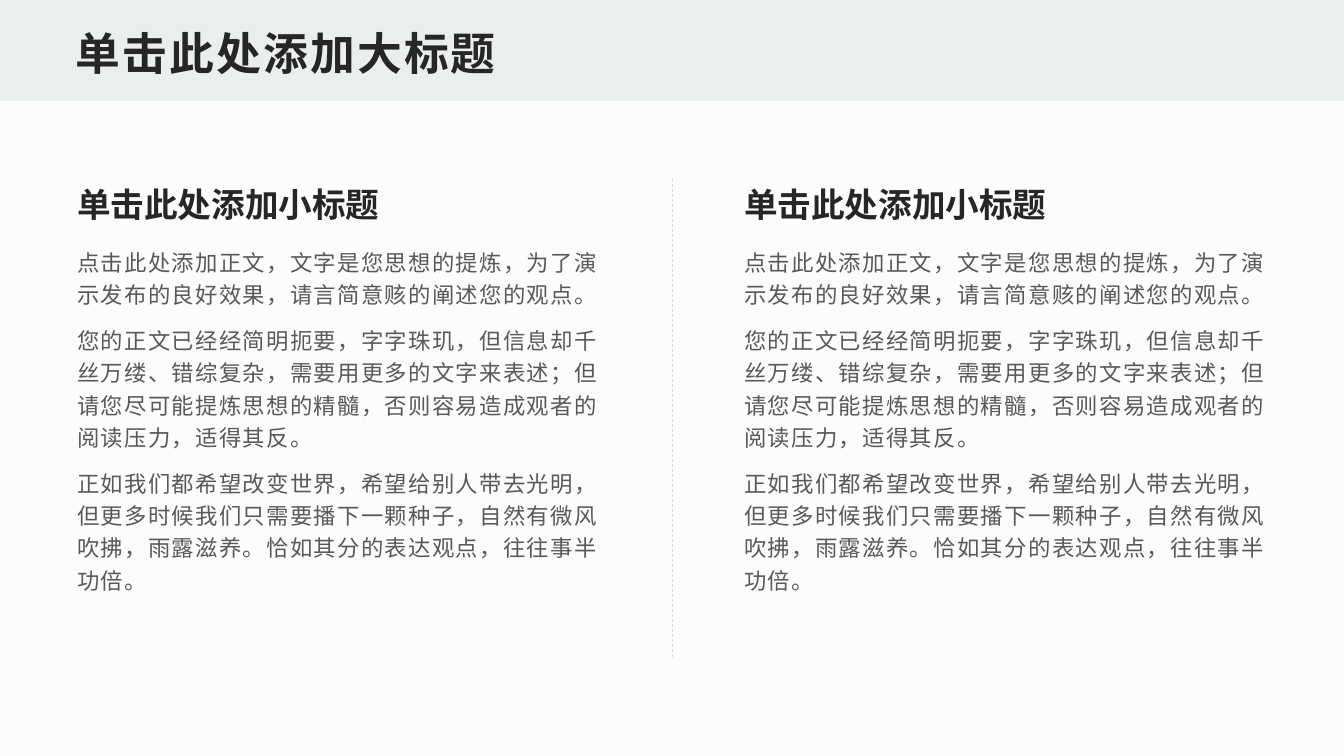
from pptx import Presentation
from pptx.dml.color import RGBColor
from pptx.enum.dml import MSO_LINE
from pptx.enum.shapes import MSO_CONNECTOR, MSO_SHAPE
from pptx.enum.text import MSO_ANCHOR, MSO_AUTO_SIZE, PP_ALIGN
from pptx.oxml.ns import qn
from pptx.util import Pt
from lxml.etree import SubElement

BACKGROUND = RGBColor(0xFB, 0xFC, 0xFC)
BAND = RGBColor(0xEA, 0xEE, 0xEF)
HEADING = RGBColor(0x26, 0x26, 0x26)
BODY = RGBColor(0x59, 0x59, 0x59)
DIVIDER = RGBColor(0xD9, 0xD9, 0xD9)

WIDTH, HEIGHT = 960, 540
MARGIN = 48
COLUMN_TOP, COLUMN_WIDTH, COLUMN_HEIGHT = 128, 387.5, 341.5

TITLE = "单击此处添加大标题"
SUBTITLE = "单击此处添加小标题"
PARAGRAPHS = [
    "点击此处添加正文，文字是您思想的提炼，为了演示发布的良好效果，请言简意赅的阐述您的观点。",
    "您的正文已经经简明扼要，字字珠玑，但信息却千丝万缕、错综复杂，需要用更多的文字来表述；"
    "但请您尽可能提炼思想的精髓，否则容易造成观者的阅读压力，适得其反。",
    "正如我们都希望改变世界，希望给别人带去光明，但更多时候我们只需要播下一颗种子，"
    "自然有微风吹拂，雨露滋养。恰如其分的表达观点，往往事半功倍。",
]


def add_run(paragraph, text, size, color, bold=False, spacing=0):
    """Add one run; spacing is the extra gap between characters in points."""
    run = paragraph.add_run()
    run.text = text
    font = run.font
    font.name, font.size, font.bold = "Arial", Pt(size), bold
    font.color.rgb = color
    if spacing:
        run._r.get_or_add_rPr().set("spc", str(int(spacing * 100)))


def add_header(slide, left, top, width, height):
    band = slide.shapes.add_shape(
        MSO_SHAPE.RECTANGLE, Pt(left), Pt(top), Pt(width), Pt(height))
    band.shadow.inherit = False
    band.fill.solid()
    band.fill.fore_color.rgb = BAND
    band.line.fill.background()

    title = slide.shapes.title
    title.left, title.top = Pt(left + MARGIN), Pt(top + 12)
    title.width, title.height = Pt(width - 2 * MARGIN), Pt(height - 24)
    band._element.addnext(title._element)  # bring the title in front of the band
    frame = title.text_frame
    frame.auto_size = MSO_AUTO_SIZE.NONE
    frame.vertical_anchor = MSO_ANCHOR.BOTTOM
    frame.margin_left = frame.margin_right = Pt(6)
    frame.margin_top = frame.margin_bottom = Pt(3)
    paragraph = frame.paragraphs[0]
    paragraph.alignment = PP_ALIGN.LEFT
    add_run(paragraph, TITLE, 32, HEADING, bold=True, spacing=1.5)


def add_text_frame(slide, left, top, width, height):
    box = slide.shapes.add_textbox(Pt(left), Pt(top), Pt(width), Pt(height))
    frame = box.text_frame
    frame.word_wrap = True
    return frame


def add_column(slide, left, top, width, height):
    subtitle = add_text_frame(slide, left, top, width, 36)
    subtitle.vertical_anchor = MSO_ANCHOR.MIDDLE
    add_run(subtitle.paragraphs[0], SUBTITLE, 24, HEADING, bold=True)

    body_offset = 42.5
    body = add_text_frame(slide, left, top + body_offset, width, height - body_offset)
    body.auto_size = MSO_AUTO_SIZE.TEXT_TO_FIT_SHAPE
    for index, text in enumerate(PARAGRAPHS):
        paragraph = body.add_paragraph() if index else body.paragraphs[0]
        paragraph.line_spacing = 1.2
        paragraph.space_before = Pt(10)
        add_run(paragraph, text, 16, BODY, spacing=1)


def add_divider(slide, x, top, height):
    divider = slide.shapes.add_connector(
        MSO_CONNECTOR.STRAIGHT, Pt(x), Pt(top), Pt(x), Pt(top + height))
    divider.line.color.rgb = DIVIDER
    divider.line.width = Pt(0.5)
    divider.line.dash_style = MSO_LINE.DASH
    SubElement(divider._element.spPr, qn("a:effectLst"))


def main():
    presentation = Presentation()
    presentation.slide_width, presentation.slide_height = Pt(WIDTH), Pt(HEIGHT)
    slide = presentation.slides.add_slide(presentation.slide_layouts.get_by_name("Title Only"))
    slide.background.fill.solid()
    slide.background.fill.fore_color.rgb = BACKGROUND

    add_header(slide, 0, 0, WIDTH, 72)
    for left in (MARGIN, WIDTH - MARGIN - COLUMN_WIDTH):
        add_column(slide, left, COLUMN_TOP, COLUMN_WIDTH, COLUMN_HEIGHT)
    add_divider(slide, WIDTH / 2, COLUMN_TOP, COLUMN_HEIGHT)
    presentation.save("out.pptx")


if __name__ == "__main__":
    main()
